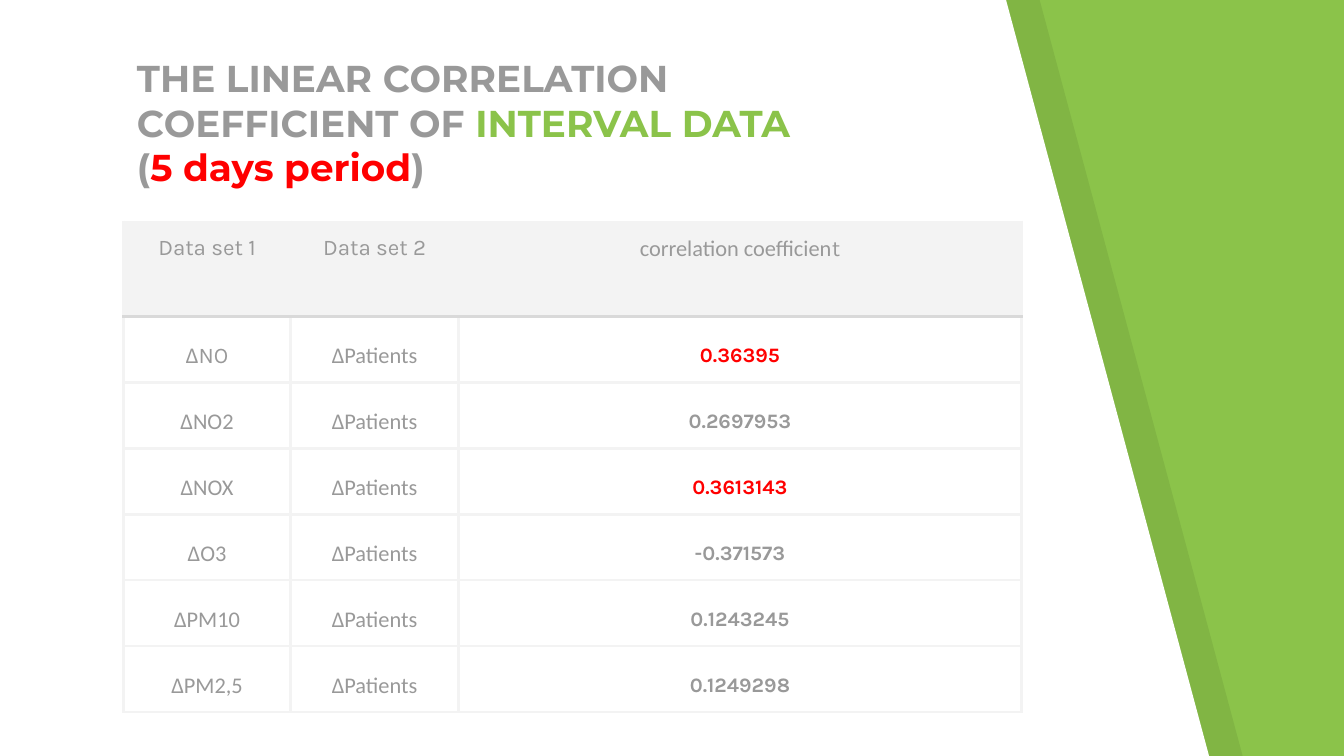
from lxml.etree import SubElement
from pptx import Presentation
from pptx.dml.color import RGBColor
from pptx.enum.text import MSO_ANCHOR, MSO_AUTO_SIZE, PP_ALIGN
from pptx.oxml import parse_xml
from pptx.oxml.ns import nsdecls, qn
from pptx.util import Pt

GREEN, GRAY, RED = "8BC34A", "999999", "FF0000"
PALE, RULE = "F3F3F3", "D9D9D9"


def paint(fill, color):
    fill.solid()
    fill.fore_color.rgb = RGBColor.from_string(color)


def write(para, text, size=12, font="Karla", color=GRAY, bold=False):
    run = para.add_run()
    run.text = text
    run.font.size, run.font.name, run.font.bold = Pt(size), font, bold
    paint(run.font.fill, color)


prs = Presentation()
prs.slide_width, prs.slide_height = Pt(720), Pt(405)
slide = prs.slides.add_slide(prs.slide_layouts[5])
paint(slide.background.fill, GREEN)
shapes = slide.shapes

# Slanted white page with a darker band along its edge
for left, color in [(18, "000000"), (0, "FFFFFF")]:
    form = shapes.build_freeform(left, -0.72, scale=Pt(1))
    form.add_line_segments(
        [(left, 406), (left + 648, 406), (left + 539.28, 0)], close=True)
    page = form.convert_to_shape()
    page.shadow.inherit = False
    page.line.fill.background()
    paint(page.fill, color)
    if left:
        tone = page.fill._xPr.find(qn("a:solidFill"))[0]
        SubElement(tone, qn("a:alpha"), val="7000")

# Title, brought in front of the page
title = shapes.title
shapes._spTree.append(title._element)
title.left, title.top, title.width, title.height = Pt(66.2), Pt(76.3), Pt(378), Pt(32.4)
frame = title.text_frame
frame.word_wrap, frame.auto_size = True, MSO_AUTO_SIZE.NONE
frame.vertical_anchor = MSO_ANCHOR.BOTTOM
frame.margin_left = frame.margin_right = Pt(7.2)
frame.margin_top = frame.margin_bottom = Pt(7.2)
para = frame.paragraphs[0]
para.alignment = PP_ALIGN.LEFT
for text, color in [("THE LINEAR CORRELATION COEFFICIENT OF ", GRAY),
                    ("INTERVAL DATA ", GREEN), ("(", GRAY),
                    ("5 days period", RED), (")", GRAY)]:
    write(para, text, size=20, font="Montserrat", color=color, bold=True)

# Each cell is a list of (text, format) runs
rows = [[[("Data set 1", {})], [("Data set 2", {})],
         [("correlation coefficien", {"font": "Calibri"}), ("t", {})]]]
for name, value, color in [("NO", "0.36395", RED), ("NO2", "0.2697953", GRAY),
                           ("NOX", "0.3613143", RED), ("O3", "-0.371573", GRAY),
                           ("PM10", "0.1243245", GRAY), ("PM2,5", "0.1249298", GRAY)]:
    face = "Karla" if name == "NO" else "Calibri"
    rows.append([[("∆", {"font": "Calibri"}), (name, {"font": face})],
                 [("∆Patients", {"font": "Calibri"})],
                 [(value, {"size": 11, "color": color, "bold": True})]])

table = shapes.add_table(len(rows), 3, Pt(66.2), Pt(118.8), Pt(481), Pt(262.8)).table
table.first_row = table.horz_banding = False
for col, width in zip(table.columns, [89.5, 90, 301.5]):
    col.width = Pt(width)

for i, row in enumerate(rows):
    table.rows[i].height = Pt(35.35 if i else 50.7)
    for j, runs in enumerate(row):
        cell = table.cell(i, j)
        cell.margin_left = cell.margin_right = Pt(5)
        cell.margin_top = cell.margin_bottom = 0
        cell.vertical_anchor = MSO_ANCHOR.MIDDLE if i else MSO_ANCHOR.TOP
        para = cell.text_frame.paragraphs[0]
        para.alignment = PP_ALIGN.CENTER
        para.line_spacing, para.space_after = 1.5, Pt(6)
        for text, form in runs:
            write(para, text, **form)
        if i:
            cell.fill.background()
        else:
            paint(cell.fill, PALE)
        props = cell._tc.get_or_add_tcPr()
        for k, side in enumerate(["lnL", "lnR", "lnT", "lnB"]):
            color = RULE if (i, side) in [(0, "lnB"), (1, "lnT")] else PALE
            props.insert(k, parse_xml(
                f'<a:{side} {nsdecls("a")} w="{Pt(1.5)}"><a:solidFill>'
                f'<a:srgbClr val="{color}"/></a:solidFill></a:{side}>'))

prs.save("out.pptx")
